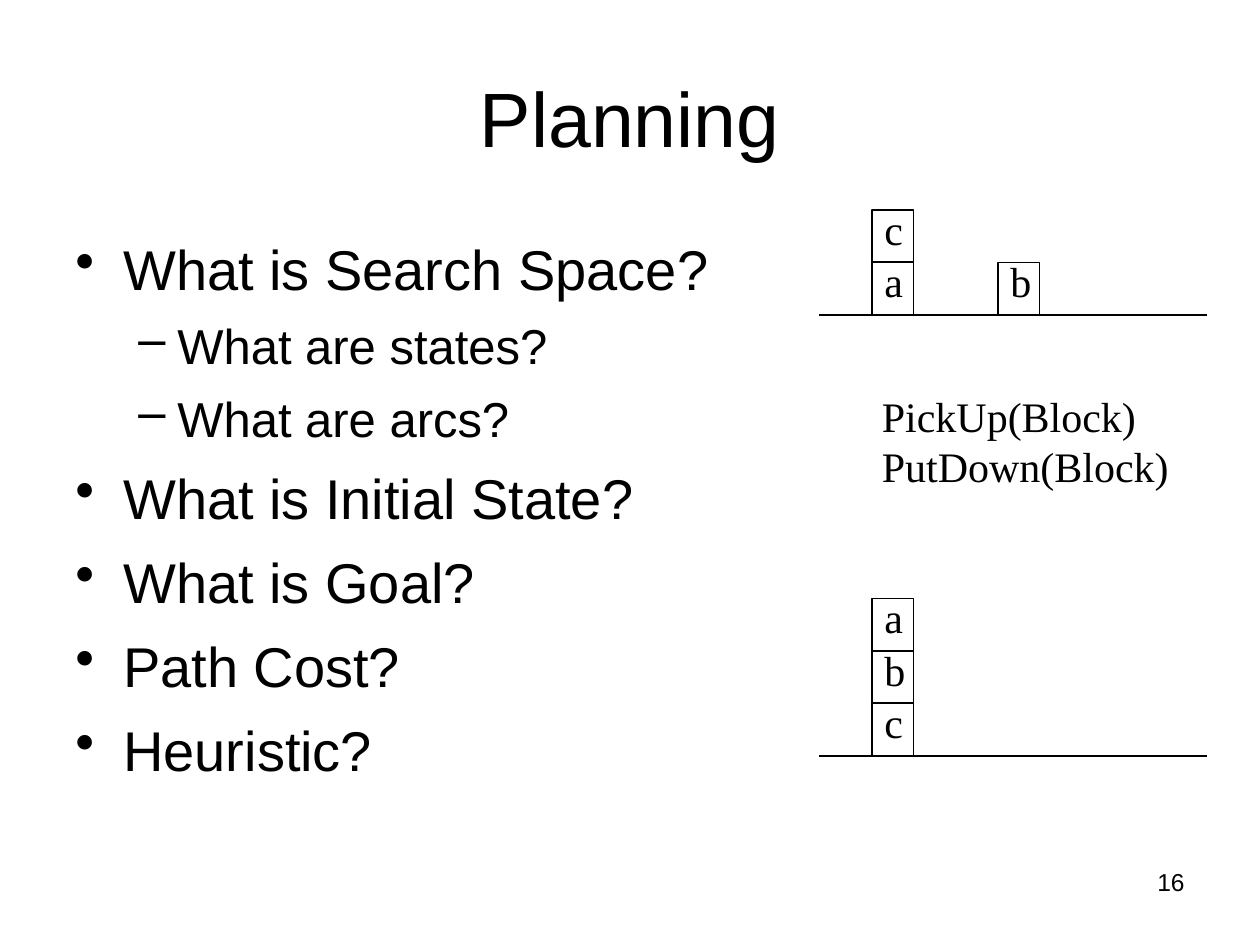
"""Build the planning slide: questions, block worlds and their operators."""
from lxml import etree
from pptx import Presentation, util as u
from pptx.dml.color import RGBColor
from pptx.enum import shapes, text
from pptx.oxml.ns import qn

BLACK = RGBColor(0, 0, 0)
WHITE = RGBColor(255, 255, 255)
SANS, SERIF = "Arial", "Times New Roman"

TITLE = "Planning"
QUESTIONS = [
    (0, "What is Search Space?"),
    (1, "What are states?"),
    (1, "What are arcs?"),
    (0, "What is Initial State?"),
    (0, "What is Goal?"),
    (0, "Path Cost?"),
    (0, "Heuristic?"),
]
# level: bullet, size, space before, left margin, hanging indent
LEVELS = [("•", 32, 9.5, 0.38, 0.38), ("–", 28, 8, 0.81, 0.31)]
OPERATORS = ["PickUp(Block)", "PutDown(Block)"]
# ground height, stacks as (column, blocks from the ground up)
WORLDS = [(2.5, [(0, "ac"), (1, "b")]), (6, [(0, "cba")])]
PAGE = "16"

TABLE_LEFT, TABLE_RIGHT = 6.5, 9.58
STACK_LEFT, STACK_STEP = 6.92, 1
BLOCK_WIDTH, BLOCK_HEIGHT = 0.33, 5 / 12


def style(paragraph, face, size):
    paragraph.font.name = face
    paragraph.font.size = u.Pt(size)
    paragraph.font.color.rgb = BLACK


def add_lines(slide, box, lines, face, size, align=text.PP_ALIGN.LEFT, wrap=True):
    frame = slide.shapes.add_textbox(*map(u.Inches, box)).text_frame
    frame.word_wrap = wrap
    frame.text = "\n".join(lines)
    for paragraph in frame.paragraphs:
        paragraph.alignment = align
        style(paragraph, face, size)
    return frame


def add_questions(slide):
    frame = add_lines(slide, (0.5, 1.81, 9, 4.89), [q for _, q in QUESTIONS], SANS, 32)
    for row, (paragraph, (level, _)) in enumerate(zip(frame.paragraphs, QUESTIONS)):
        bullet, size, gap, margin, hang = LEVELS[level]
        paragraph.level = level
        properties = paragraph._p.get_or_add_pPr()
        properties.set("marL", str(u.Inches(margin)))
        properties.set("indent", str(-u.Inches(hang)))
        for child in properties.findall(qn("a:defRPr")):
            properties.remove(child)
        etree.SubElement(properties, qn("a:buChar"), char=bullet)
        if row:
            paragraph.space_before = u.Pt(gap)
        style(paragraph, SANS, size)


def add_block(slide, left, top, letter):
    block = slide.shapes.add_shape(
        shapes.MSO_SHAPE.RECTANGLE,
        *map(u.Inches, (left, top, BLOCK_WIDTH, BLOCK_HEIGHT)))
    block.shadow.inherit = False
    block.fill.background()
    block.line.color.rgb = BLACK
    block.line.width = u.Pt(1)
    frame = block.text_frame
    frame.margin_left, frame.margin_right = u.Inches(0.1), 0
    frame.margin_top, frame.margin_bottom = 0, u.Inches(0.07)
    frame.vertical_anchor = text.MSO_ANCHOR.BOTTOM
    frame.text = letter
    frame.paragraphs[0].alignment = text.PP_ALIGN.LEFT
    style(frame.paragraphs[0], SERIF, 24)


def add_world(slide, ground, stacks):
    table = slide.shapes.add_connector(
        shapes.MSO_CONNECTOR.STRAIGHT,
        *map(u.Inches, (TABLE_LEFT, ground, TABLE_RIGHT, ground)))
    table.line.color.rgb = BLACK
    table.line.width = u.Pt(1)
    etree.SubElement(table._element.spPr, qn("a:effectLst"))
    for column, letters in stacks:
        for height, letter in enumerate(letters, 1):
            add_block(slide, STACK_LEFT + column * STACK_STEP,
                      ground - height * BLOCK_HEIGHT, letter)


def main():
    deck = Presentation()
    deck.slide_width, deck.slide_height = u.Inches(10), u.Inches(7.5)
    slide = deck.slides.add_slide(deck.slide_layouts[5])
    slide.background.fill.solid()
    slide.background.fill.fore_color.rgb = WHITE

    title = slide.shapes.title
    title.left, title.top, title.width, title.height = map(u.Inches, (0.5, 0.3, 9, 1.25))
    title.text_frame.text = TITLE
    title.text_frame.vertical_anchor = text.MSO_ANCHOR.MIDDLE
    title.text_frame.paragraphs[0].alignment = text.PP_ALIGN.CENTER
    style(title.text_frame.paragraphs[0], SANS, 44)

    add_questions(slide)
    for ground, stacks in WORLDS:
        add_world(slide, ground, stacks)
    add_lines(slide, (6.9, 3.05, 2.48, 0.9), OPERATORS, SERIF, 24, wrap=False)
    add_lines(slide, (7.17, 6.83, 2.33, 0.52), [PAGE], SANS, 14, text.PP_ALIGN.RIGHT)
    deck.save("out.pptx")


if __name__ == "__main__":
    main()
